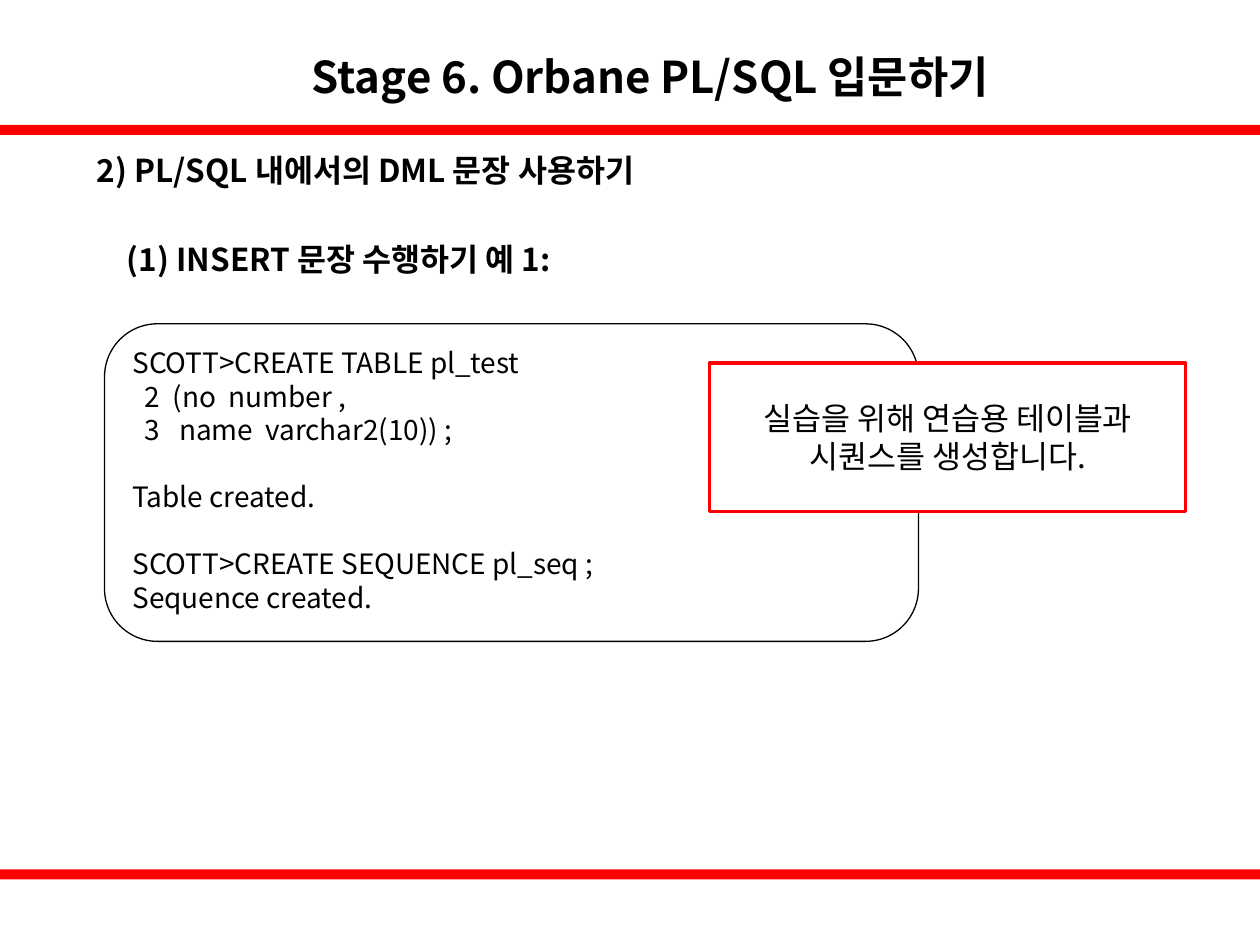
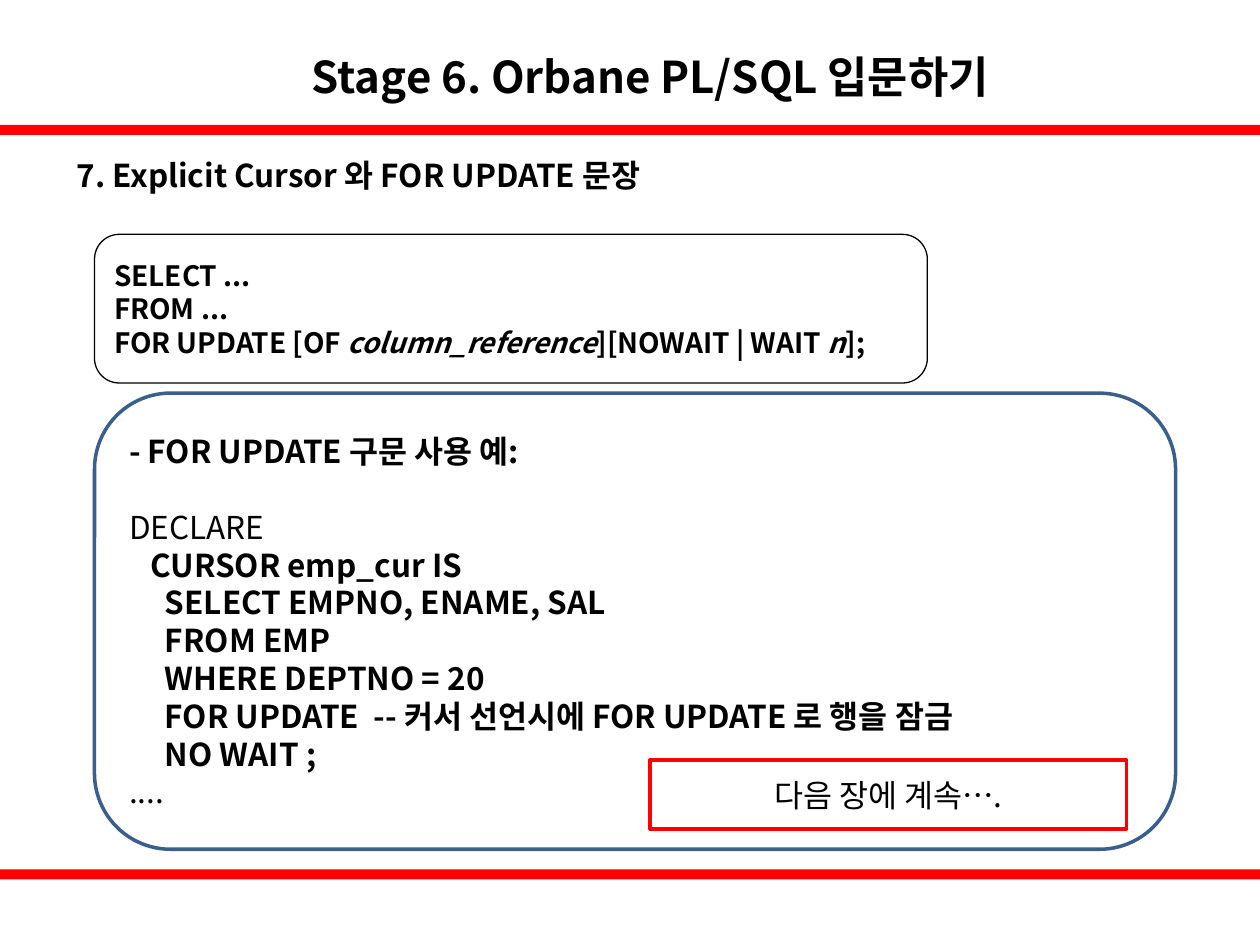
from dataclasses import dataclass
from pptx import Presentation
from pptx.dml.color import RGBColor
from pptx.enum.shapes import MSO_SHAPE
from pptx.enum.text import MSO_ANCHOR, MSO_AUTO_SIZE, PP_ALIGN
from pptx.util import Inches, Pt


@dataclass(frozen=True)
class Theme:
    font: str = "Noto Sans CJK KR"
    black: RGBColor = RGBColor(0, 0, 0)
    white: RGBColor = RGBColor(255, 255, 255)
    red: RGBColor = RGBColor(255, 0, 0)
    blue: RGBColor = RGBColor(0x3A, 0x5F, 0x8C)
    title: int = 25
    body: int = 18
    code: int = 16
    thin: float = 0.75
    thick: float = 2
    leading: float = 1.2


T = Theme()
W, H = 10, 7.5
BAND_TOPS, BAND_H = (0.99, 6.9), 0.08
TITLE = "Stage 6. Orbane PL/SQL 입문하기"

prs = Presentation()
prs.slide_width, prs.slide_height = Inches(W), Inches(H)


def write(sp, lines, size, bold=False, align=PP_ALIGN.LEFT, anchor=MSO_ANCHOR.MIDDLE):
    tf = sp.text_frame
    tf.word_wrap = True
    tf.auto_size = MSO_AUTO_SIZE.NONE
    tf.vertical_anchor = anchor
    gap = 0
    first = True
    for line in lines:
        if not line:
            gap = size * T.leading
            continue
        p = tf.paragraphs[0] if first else tf.add_paragraph()
        p.alignment = align
        p.space_before = Pt(gap)
        p.font.name, p.font.size = T.font, Pt(size)
        p.font.bold = bold(line) if callable(bold) else bold
        p.font.color.rgb = T.black
        for i, part in enumerate(line.split("*")):
            r = p.add_run()
            r.text = part
            if i % 2:
                r.font.italic = True
        gap, first = 0, False


def add_box(s, kind, at, fill=None, line=None, width=T.thin):
    sp = s.shapes.add_shape(kind, *map(Inches, at))
    sp.shadow.inherit = False
    if fill is None:
        sp.fill.background()
    else:
        sp.fill.solid()
        sp.fill.fore_color.rgb = fill
    if line is None:
        sp.line.fill.background()
    else:
        sp.line.color.rgb = line
        sp.line.width = Pt(width)
    return sp


ROUND, RECT = MSO_SHAPE.ROUNDED_RECTANGLE, MSO_SHAPE.RECTANGLE

slides = [
    dict(
        heads=[
            ((0.67, 0.99, 6.85, 0.71), "2) PL/SQL 내에서의 DML 문장 사용하기"),
            ((0.91, 1.78, 7.64, 0.55), "(1) INSERT 문장 수행하기 예 1:"),
        ],
        panels=[
            dict(
                at=(0.83, 2.57, 6.46, 2.52), fill=T.white, line=T.black, width=T.thin,
                size=T.code, bold=False, anchor=MSO_ANCHOR.TOP,
                lines=[
                    "SCOTT>CREATE TABLE pl_test",
                    "  2  (no  number ,",
                    "  3   name  varchar2(10)) ;",
                    "",
                    "Table created.",
                    "",
                    "SCOTT>CREATE SEQUENCE pl_seq ;",
                    "Sequence created.",
                ],
            ),
        ],
        note=((5.63, 2.88, 3.78, 1.18), T.white,
              ["실습을 위해 연습용 테이블과", "시퀀스를 생성합니다."]),
    ),
    dict(
        heads=[((0.51, 1.07, 5.12, 0.63), "7. Explicit Cursor 와 FOR UPDATE 문장")],
        panels=[
            dict(
                at=(0.75, 1.86, 6.61, 1.18), fill=T.white, line=T.black, width=T.thin,
                size=T.code, bold=True, anchor=MSO_ANCHOR.MIDDLE,
                lines=[
                    "SELECT ...",
                    "FROM ...",
                    "FOR UPDATE [OF *column_reference*][NOWAIT | WAIT *n*];",
                ],
            ),
            dict(
                at=(0.75, 3.12, 8.58, 3.62), fill=None, line=T.blue, width=T.thick,
                size=T.body, bold=lambda line: line not in ("DECLARE", "...."),
                anchor=MSO_ANCHOR.MIDDLE,
                lines=[
                    "- FOR UPDATE 구문 사용 예:",
                    "",
                    "DECLARE",
                    "   CURSOR emp_cur IS",
                    "     SELECT EMPNO, ENAME, SAL",
                    "     FROM EMP",
                    "     WHERE DEPTNO = 20",
                    "     FOR UPDATE  -- 커서 선언시에 FOR UPDATE 로 행을 잠금",
                    "     NO WAIT ;",
                    "....",
                ],
            ),
        ],
        note=((5.16, 6.03, 3.78, 0.55), None, ["다음 장에 계속…."]),
    ),
]

for content in slides:
    s = prs.slides.add_slide(prs.slide_layouts[5])
    for top in BAND_TOPS:
        add_box(s, RECT, (0, top, W, BAND_H), fill=T.red)

    title = s.shapes.title
    title.left, title.top, title.width, title.height = map(Inches, (1.38, 0, 7.56, 0.99))
    write(title, [TITLE], T.title, bold=True, align=PP_ALIGN.CENTER)
    title.text_frame.paragraphs[0].line_spacing = 1.5

    for at, text in content["heads"]:
        write(s.shapes.add_textbox(*map(Inches, at)), [text], T.body, bold=True)

    for panel in content["panels"]:
        sp = add_box(s, ROUND, panel["at"], panel["fill"], panel["line"], panel["width"])
        write(sp, panel["lines"], panel["size"], panel["bold"], anchor=panel["anchor"])

    at, fill, lines = content["note"]
    sp = add_box(s, RECT, at, fill, T.red, T.thick)
    write(sp, lines, T.body, align=PP_ALIGN.CENTER)

prs.save("out.pptx")
